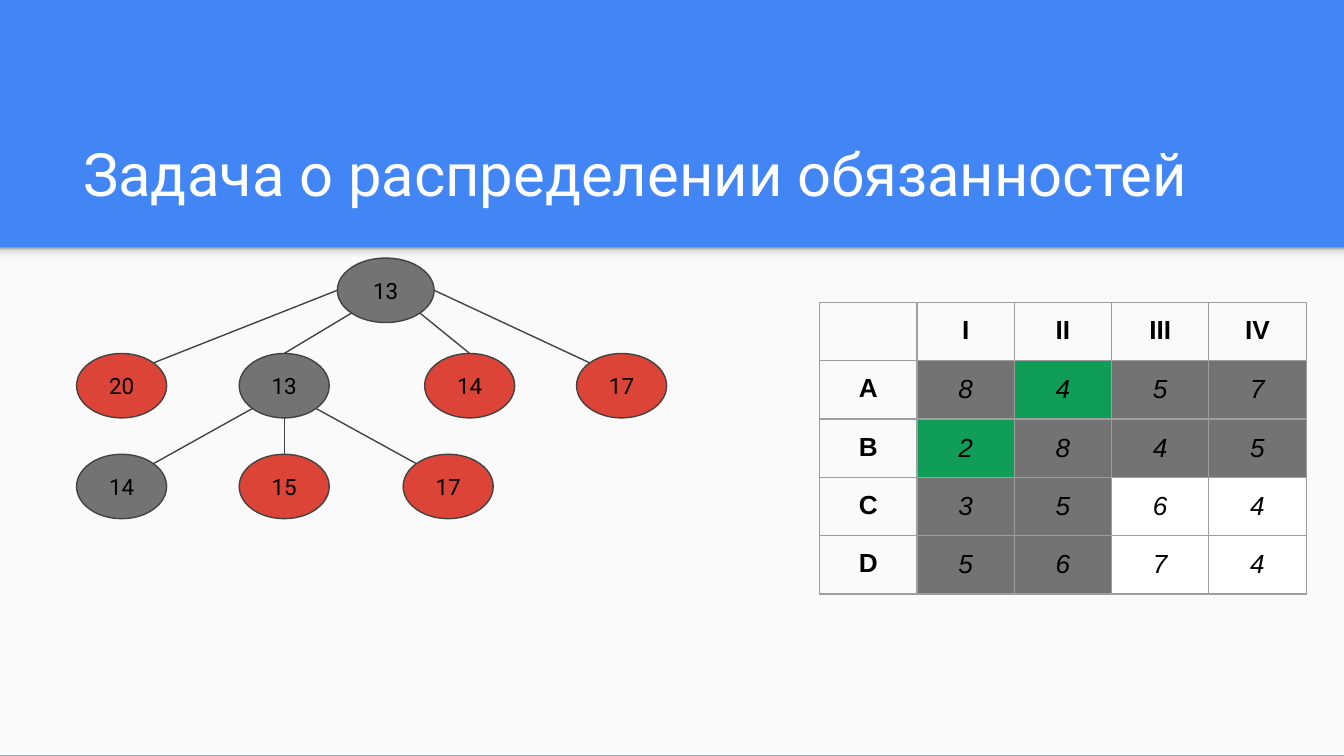
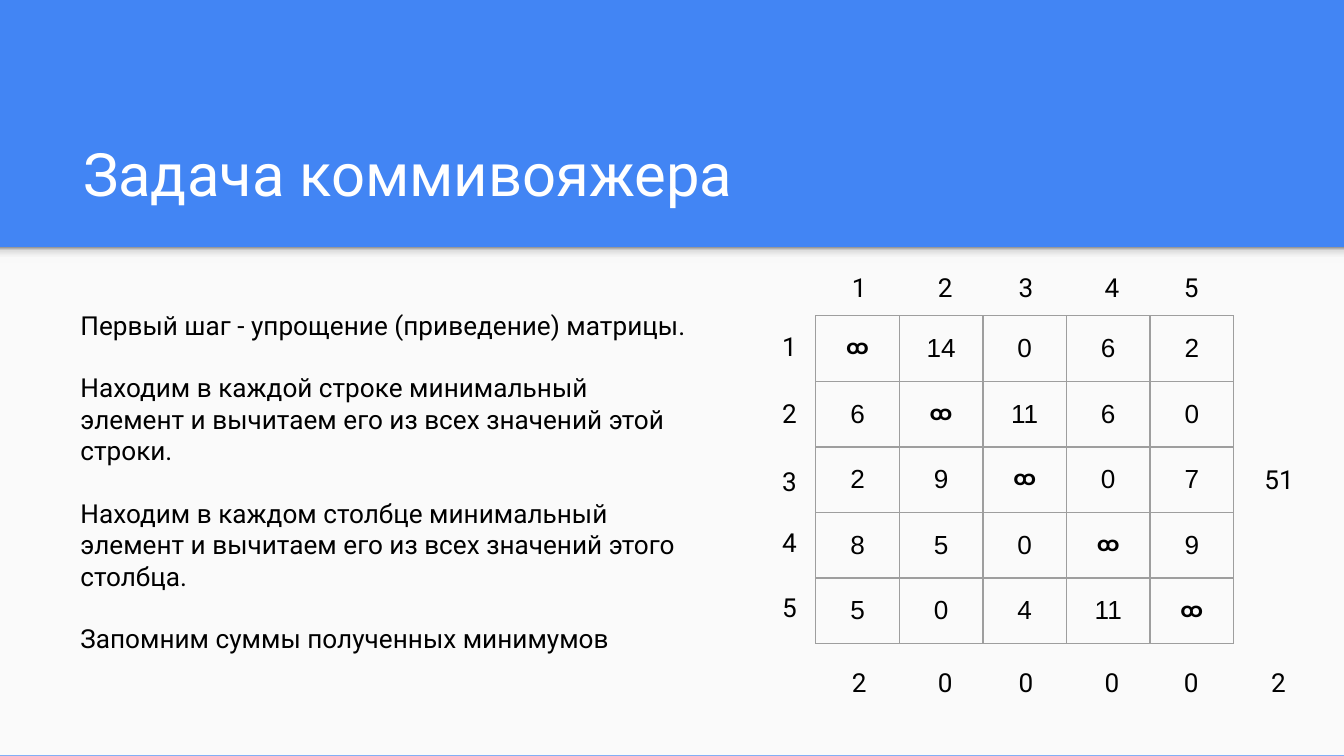
from copy import deepcopy
from math import cos, radians, sin

from lxml import etree
from pptx import Presentation
from pptx.dml.color import RGBColor
from pptx.enum.shapes import MSO_CONNECTOR, MSO_SHAPE
from pptx.enum.text import MSO_ANCHOR, PP_ALIGN
from pptx.oxml.ns import qn
from pptx.util import Inches, Pt

# Colours and fonts
BLUE = RGBColor(0x42, 0x85, 0xF4)
PANEL = RGBColor(0xFA, 0xFA, 0xFA)
WHITE = RGBColor(0xFF, 0xFF, 0xFF)
BLACK = RGBColor(0x00, 0x00, 0x00)
GREY = RGBColor(0x73, 0x73, 0x73)
RED = RGBColor(0xDB, 0x44, 0x37)
GREEN = RGBColor(0x0F, 0x9D, 0x58)
OUTLINE = RGBColor(0x42, 0x42, 0x42)
GRID = RGBColor(0x9E, 0x9E, 0x9E)
BAND_STOPS = [(0, RGBColor(0xF9, 0xF9, 0xF9)), (0.36, RGBColor(0xF9, 0xF9, 0xF9)),
              (0.8, RGBColor(0xDE, 0xDE, 0xDE)), (1, RGBColor(0x99, 0x99, 0x99))]

TITLE = {"name": "Roboto", "size": Pt(32), "color": WHITE}
BODY = {"name": "Roboto", "size": Pt(14), "color": BLACK}
NODE = {"name": "Roboto", "size": Pt(12), "color": BLACK}
CELL = {"name": "Arial", "size": Pt(14), "color": BLACK, "bold": False}
HEAD = {**CELL, "bold": True}
COST = {**CELL, "italic": True}
INFINITE = {**CELL, "size": Pt(11), "bold": True}

# Assignment problem: search tree (value, left, top, width, fill) and its edges
NODES = {
    "root": ("13", 2.51, 1.92, 0.72, GREY),
    "A1": ("20", 0.57, 2.63, 0.67, RED),
    "A2": ("13", 1.78, 2.63, 0.67, GREY),
    "A3": ("14", 3.16, 2.63, 0.67, RED),
    "A4": ("17", 4.29, 2.63, 0.67, RED),
    "B1": ("14", 0.57, 3.38, 0.67, GREY),
    "B3": ("15", 1.78, 3.38, 0.67, RED),
    "B4": ("17", 3.0, 3.38, 0.67, RED),
}
NODE_HEIGHT = 0.48
# Parent, angle on its rim, child, angle on its rim (clockwise from the right)
EDGES = [
    ("root", 180, "A1", 315), ("root", 135, "A2", 270),
    ("root", 45, "A3", 270), ("root", 0, "A4", 225),
    ("A2", 135, "B1", 315), ("A2", 90, "B3", 270), ("A2", 45, "B4", 225),
]
COSTS = [
    ["", "I", "II", "III", "IV"],
    ["A", "8", "4", "5", "7"],
    ["B", "2", "8", "4", "5"],
    ["C", "3", "5", "6", "4"],
    ["D", "5", "6", "7", "4"],
]
CHOSEN = {(1, 2), (2, 1)}
OPEN = {(3, 3), (3, 4), (4, 3), (4, 4)}

# Travelling salesman problem
STEPS = [
    "Первый шаг - упрощение (приведение) матрицы.",
    "Находим в каждой строке минимальный элемент и вычитаем его из всех значений этой строки.",
    "Находим в каждом столбце минимальный элемент и вычитаем его из всех значений этого столбца.",
    "Запомним суммы полученных минимумов",
]
INF = "\u1011"
DISTANCES = [
    [INF, "14", "0", "6", "2"],
    ["6", INF, "11", "6", "0"],
    ["2", "9", INF, "0", "7"],
    ["8", "5", "0", INF, "9"],
    ["5", "0", "4", "11", INF],
]
CITIES = "12345"
COLUMN_MINIMA = "20000"
COLUMN_LEFTS = [6.24, 6.88, 7.48, 8.12, 8.71]
ROW_TOPS = [2.36, 2.86, 3.36, 3.82, 4.3]
LABEL_TOP, MINIMA_TOP, LABEL_LEFT = 1.92, 4.86, 5.72


def write(frame, paragraphs, style, align=PP_ALIGN.LEFT, gap=0):
    for side in ("left", "right", "top", "bottom"):
        setattr(frame, "margin_" + side, Inches(0.1))
    frame.word_wrap = True
    for index, text in enumerate(paragraphs):
        paragraph = frame.add_paragraph() if index else frame.paragraphs[0]
        paragraph.alignment = align
        if index and gap:
            paragraph.space_before = Pt(gap)
        run = paragraph.add_run()
        run.text = text
        for key, value in style.items():
            if key == "color":
                run.font.color.rgb = value
            else:
                setattr(run.font, key, value)


def add_text(slide, box, paragraphs, style, anchor=MSO_ANCHOR.TOP, gap=0):
    frame = slide.shapes.add_textbox(*map(Inches, box)).text_frame
    frame.vertical_anchor = anchor
    write(frame, paragraphs, style, gap=gap)


def add_plain(slide, kind, box):
    shape = slide.shapes.add_shape(kind, *map(Inches, box))
    shape.shadow.inherit = False
    shape.line.fill.background()
    return shape


def add_slide(title):
    slide = prs.slides.add_slide(prs.slide_layouts[6])
    slide.background.fill.solid()
    slide.background.fill.fore_color.rgb = BLUE
    panel = add_plain(slide, MSO_SHAPE.RECTANGLE, (0, 1.84, 10, 3.78))
    panel.fill.solid()
    panel.fill.fore_color.rgb = PANEL
    # Soft shade under the title band
    shade = add_plain(slide, MSO_SHAPE.RECTANGLE, (0, 1.84, 10, 0.12))
    shade.fill.gradient()
    shade.fill.gradient_angle = 90
    stops = shade._element.spPr.find(qn("a:gradFill")).find(qn("a:gsLst"))
    while len(stops) < len(BAND_STOPS):
        stops.append(deepcopy(stops[0]))
    for stop, (position, color) in zip(shade.fill.gradient_stops, BAND_STOPS):
        stop.position = position
        stop.color.rgb = color
    add_text(slide, (0.52, 0.81, 8.99, 0.84), [title], TITLE, MSO_ANCHOR.BOTTOM)
    return slide


def add_borders(cell):
    properties = cell._tc.get_or_add_tcPr()
    for side in ("lnL", "lnR", "lnT", "lnB"):
        line = etree.SubElement(properties, qn("a:" + side), w=str(Pt(0.75)))
        fill = etree.SubElement(line, qn("a:solidFill"))
        etree.SubElement(fill, qn("a:srgbClr"), val=str(GRID))


def add_grid(slide, box, rows, look):
    """look(row, column, text) gives text style, fill and anchor."""
    table = slide.shapes.add_table(len(rows), len(rows[0]), *map(Inches, box)).table
    table.first_row = table.horz_banding = False
    for column in table.columns:
        column.width = Inches(box[2] / len(rows[0]))
    for r, row in enumerate(rows):
        table.rows[r].height = Inches(box[3] / len(rows))
        for c, text in enumerate(row):
            cell = table.cell(r, c)
            style, fill, anchor = look(r, c, text)
            add_borders(cell)
            if fill is None:
                cell.fill.background()
            else:
                cell.fill.solid()
                cell.fill.fore_color.rgb = fill
            for side in ("left", "right", "top", "bottom"):
                setattr(cell, "margin_" + side, Inches(0.1))
            cell.vertical_anchor = anchor
            if text:
                write(cell.text_frame, [text], style, PP_ALIGN.CENTER)
            else:
                end = cell.text_frame.paragraphs[0]._p.get_or_add_endParaRPr()
                end.set("sz", "1400")


def cost_look(row, column, text):
    if row == 0 or column == 0:
        return HEAD, None, MSO_ANCHOR.TOP
    place = (row, column)
    fill = GREEN if place in CHOSEN else WHITE if place in OPEN else GREY
    return COST, fill, MSO_ANCHOR.MIDDLE


def distance_look(row, column, text):
    return INFINITE if text == INF else CELL, None, MSO_ANCHOR.MIDDLE


def rim(key, angle):
    _, left, top, width, _ = NODES[key]
    x = left + width / 2 * (1 + cos(radians(angle)))
    y = top + NODE_HEIGHT / 2 * (1 + sin(radians(angle)))
    return Inches(x), Inches(y)


def add_tree(slide):
    for parent, start, child, end in EDGES:
        edge = slide.shapes.add_connector(
            MSO_CONNECTOR.STRAIGHT, *rim(parent, start), *rim(child, end))
        edge.line.color.rgb = OUTLINE
        edge.line.width = Pt(0.75)
        etree.SubElement(edge._element.spPr, qn("a:effectLst"))
    for value, left, top, width, fill in NODES.values():
        node = add_plain(slide, MSO_SHAPE.OVAL, (left, top, width, NODE_HEIGHT))
        node.fill.solid()
        node.fill.fore_color.rgb = fill
        node.line.color.rgb = OUTLINE
        node.line.width = Pt(0.75)
        node.text_frame.vertical_anchor = MSO_ANCHOR.MIDDLE
        write(node.text_frame, [value], NODE, PP_ALIGN.CENTER)


prs = Presentation()
prs.slide_width, prs.slide_height = Inches(10), Inches(5.625)

# Slide 1: tree and cost table
assignment = add_slide("Задача о распределении обязанностей")
add_grid(assignment, (6.1, 2.25, 3.62, 2.09), COSTS, cost_look)
add_tree(assignment)

# Slide 2: steps, distance matrix, labels and minima around it
salesman = add_slide("Задача коммивояжера")
add_grid(salesman, (6.07, 2.35, 3.11, 2.44), DISTANCES, distance_look)
add_text(salesman, (0.5, 2.2, 4.74, 2.8), STEPS, BODY, gap=16.8)
labels = [(city, LABEL_LEFT, top) for city, top in zip(CITIES, ROW_TOPS)]
labels += [(city, left, LABEL_TOP) for city, left in zip(CITIES, COLUMN_LEFTS)]
labels += [(low, left, MINIMA_TOP) for low, left in zip(COLUMN_MINIMA, COLUMN_LEFTS)]
labels.append(("2", 9.36, MINIMA_TOP))
for text, left, top in labels:
    add_text(salesman, (left, top, 0.31, 0.44), [text], BODY)
add_text(salesman, (9.31, 3.35, 0.69, 0.44), ["51"], BODY)

prs.save("out.pptx")
